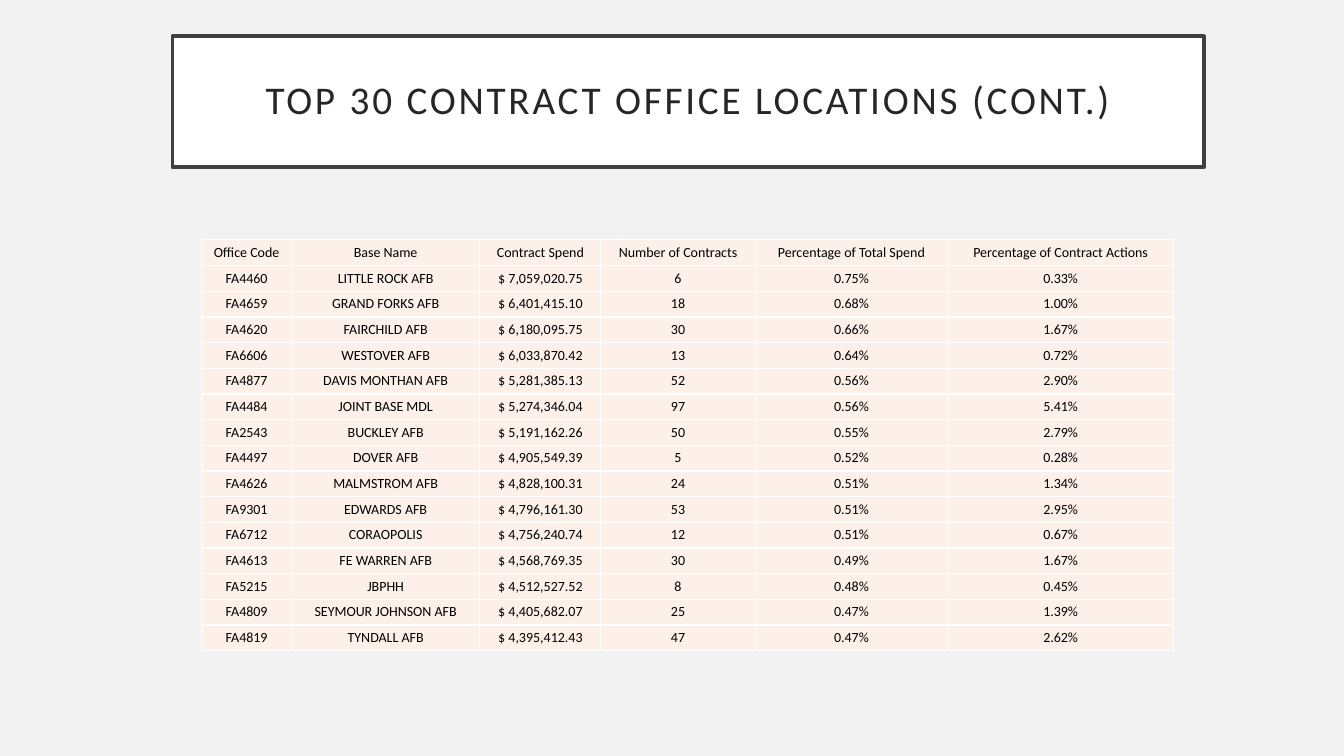
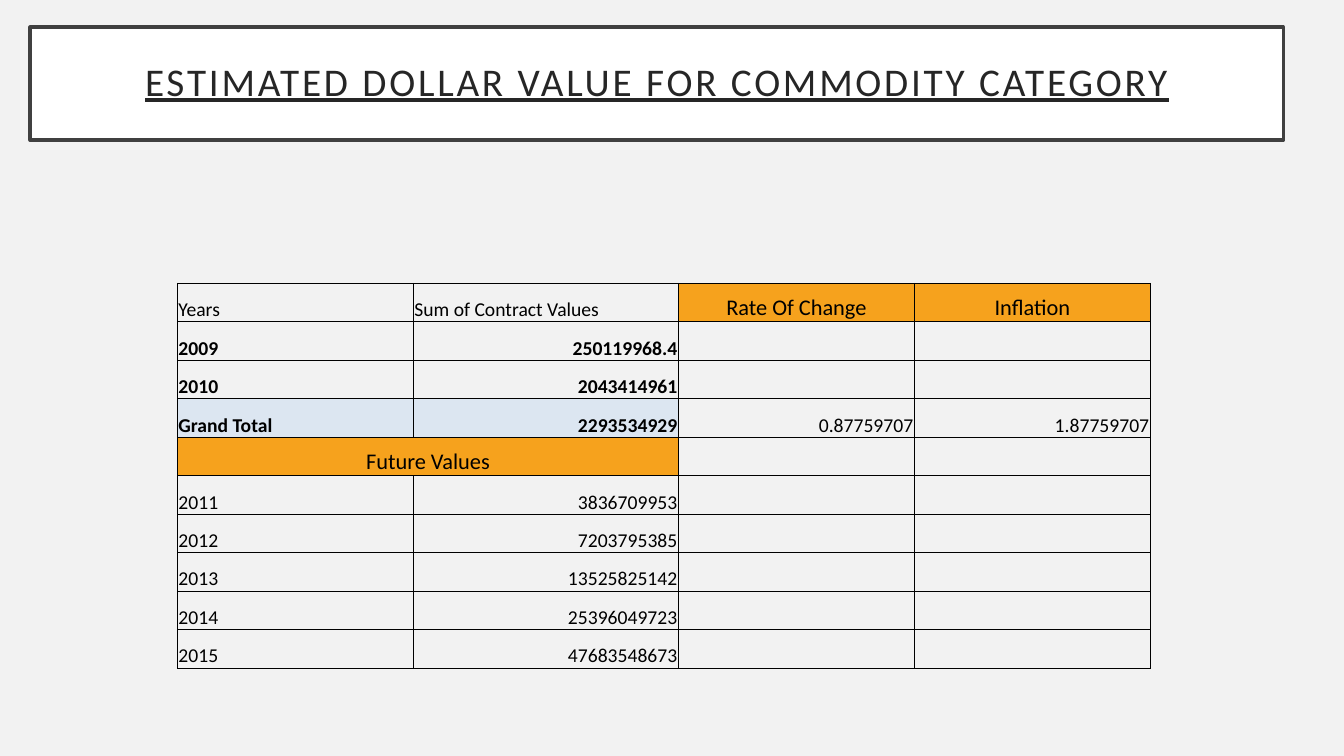
from pptx import Presentation
from pptx.dml.color import RGBColor
from pptx.enum.shapes import MSO_SHAPE as Shape
from pptx.enum.text import MSO_ANCHOR as Anchor, PP_ALIGN as Align
from pptx.oxml.ns import qn
from pptx.util import Inches, Pt
from lxml.etree import SubElement

# Shared style
FONT = "Calibri"
GREY = RGBColor(0xF2, 0xF2, 0xF2)
WHITE = RGBColor(0xFF, 0xFF, 0xFF)
BLACK = RGBColor(0x00, 0x00, 0x00)
FRAME = RGBColor(0x40, 0x40, 0x40)
INK = RGBColor(0x26, 0x26, 0x26)
PEACH = RGBColor(0xFD, 0xF0, 0xE8)
AMBER = RGBColor(0xF6, 0xA2, 0x1D)
BLUE = RGBColor(0xDC, 0xE6, 0xF1)

# Contract offices
OFFICE_COLS = [0.89, 1.87, 1.2, 1.53, 1.91, 2.24]
OFFICES = [
    ("Office Code", "Base Name", "Contract Spend", "Number of Contracts",
     "Percentage of Total Spend", "Percentage of Contract Actions"),
    ("FA4460", "LITTLE ROCK AFB", "$ 7,059,020.75", "6", "0.75%", "0.33%"),
    ("FA4659", "GRAND FORKS AFB", "$ 6,401,415.10", "18", "0.68%", "1.00%"),
    ("FA4620", "FAIRCHILD AFB", "$ 6,180,095.75", "30", "0.66%", "1.67%"),
    ("FA6606", "WESTOVER AFB", "$ 6,033,870.42", "13", "0.64%", "0.72%"),
    ("FA4877", "DAVIS MONTHAN AFB", "$ 5,281,385.13", "52", "0.56%", "2.90%"),
    ("FA4484", "JOINT BASE MDL", "$ 5,274,346.04", "97", "0.56%", "5.41%"),
    ("FA2543", "BUCKLEY AFB", "$ 5,191,162.26", "50", "0.55%", "2.79%"),
    ("FA4497", "DOVER AFB", "$ 4,905,549.39", "5", "0.52%", "0.28%"),
    ("FA4626", "MALMSTROM AFB", "$ 4,828,100.31", "24", "0.51%", "1.34%"),
    ("FA9301", "EDWARDS AFB", "$ 4,796,161.30", "53", "0.51%", "2.95%"),
    ("FA6712", "CORAOPOLIS", "$ 4,756,240.74", "12", "0.51%", "0.67%"),
    ("FA4613", "FE WARREN AFB", "$ 4,568,769.35", "30", "0.49%", "1.67%"),
    ("FA5215", "JBPHH", "$ 4,512,527.52", "8", "0.48%", "0.45%"),
    ("FA4809", "SEYMOUR JOHNSON AFB", "$ 4,405,682.07", "25", "0.47%", "1.39%"),
    ("FA4819", "TYNDALL AFB", "$ 4,395,412.43", "47", "0.47%", "2.62%"),
]

# Commodity values by year
VALUE_COLS = [2.34, 2.63, 2.34, 2.34]
VALUES = [
    ("Years", "Sum of Contract Values", "Rate Of Change", "Inflation"),
    ("2009", "250119968.4", "", ""),
    ("2010", "2043414961", "", ""),
    ("Grand Total", "2293534929", "0.87759707", "1.87759707"),
    ("Future Values", "", "", ""),
    ("2011", "3836709953", "", ""),
    ("2012", "7203795385", "", ""),
    ("2013", "13525825142", "", ""),
    ("2014", "25396049723", "", ""),
    ("2015", "47683548673", "", ""),
]
HEADS = {(0, 2), (0, 3), (4, 0), (4, 1)}
TOTALS = {(3, 0), (3, 1)}


def add_run(para, text, size, color, bold=False, line=False):
    run = para.add_run()
    run.text = text
    font = run.font
    font.name, font.size, font.bold = FONT, Pt(size), bold
    font.color.rgb = color
    if line:
        font.underline = True
    return run


def add_title(slide, text, box, line=False):
    shape = slide.shapes.add_shape(Shape.RECTANGLE, *map(Inches, box))
    shape.shadow.inherit = False
    shape.fill.solid()
    shape.fill.fore_color.rgb = WHITE
    shape.line.color.rgb = FRAME
    shape.line.width = Pt(2.5)
    frame = shape.text_frame
    frame.word_wrap = True
    frame.vertical_anchor = Anchor.MIDDLE
    frame.margin_left = frame.margin_right = Inches(0.2)
    frame.margin_top = frame.margin_bottom = Inches(0.2)
    para = frame.paragraphs[0]
    para.alignment, para.line_spacing = Align.CENTER, 0.9
    run = add_run(para, text, 28, INK, line=line)
    run._r.get_or_add_rPr().set("spc", "200")


def add_grid(slide, left, top, height, cols, count):
    frame = slide.shapes.add_table(count, len(cols), Inches(left), Inches(top),
                                   Inches(sum(cols)), Inches(height))
    table = frame.table
    table.first_row = table.horz_banding = False
    for col, width in zip(table.columns, cols):
        col.width = Inches(width)
    return table


def set_edges(cell, color, width):
    props = cell._tc.get_or_add_tcPr()
    for side in ("lnL", "lnR", "lnT", "lnB"):
        edge = SubElement(props, qn(f"a:{side}"), w=str(Pt(width)))
        fill = SubElement(edge, qn("a:solidFill"))
        SubElement(fill, qn("a:srgbClr"), val=str(color))


def set_cell(cell, text, size, align, anchor, pad=0, fill=None, bold=False):
    cell.margin_left = cell.margin_right = cell.margin_top = Inches(pad)
    cell.margin_bottom = 0
    cell.vertical_anchor = anchor
    if fill is None:
        cell.fill.background()
    else:
        cell.fill.solid()
        cell.fill.fore_color.rgb = fill
    if text:
        para = cell.text_frame.paragraphs[0]
        para.alignment = align
        add_run(para, text, size, BLACK, bold)


def add_offices(slide):
    add_title(slide, "TOP 30 CONTRACT OFFICE LOCATIONS (CONT.)",
              (1.71, 0.36, 10.23, 1.3))
    table = add_grid(slide, 2, 2.38, 4.08, OFFICE_COLS, len(OFFICES))
    for r, row in enumerate(OFFICES):
        for c, text in enumerate(row):
            cell = table.cell(r, c)
            set_edges(cell, WHITE, 1)
            set_cell(cell, text, 10, Align.CENTER, Anchor.MIDDLE, fill=PEACH)


def add_values(slide):
    add_title(slide, "ESTIMATED DOLLAR VALUE FOR COMMODITY CATEGORY",
              (0.3, 0.27, 12.43, 1.12), line=True)
    table = add_grid(slide, 1.76, 2.81, 3.82, VALUE_COLS, len(VALUES))
    for r, row in enumerate(VALUES):
        for c, text in enumerate(row):
            size, align, fill = 14, Align.RIGHT, None
            if (r, c) in HEADS:
                size, align, fill = 16, Align.CENTER, AMBER
            elif c == 0 or r == 0:
                align = Align.LEFT
            if (r, c) in TOTALS:
                fill = BLUE
            cell = table.cell(r, c)
            set_edges(cell, BLACK, 0.5)
            set_cell(cell, text, size, align, Anchor.BOTTOM, 0.01, fill,
                     bold=1 <= r <= 3 and c < 2)
    table.cell(4, 0).merge(table.cell(4, 1))


def main():
    deck = Presentation()
    deck.slide_width, deck.slide_height = Inches(13.33), Inches(7.5)
    back = deck.slide_master.background.fill
    back.solid()
    back.fore_color.rgb = GREY
    blank = deck.slide_layouts[6]
    for build in (add_offices, add_values):
        build(deck.slides.add_slide(blank))
    deck.save("out.pptx")


if __name__ == "__main__":
    main()
